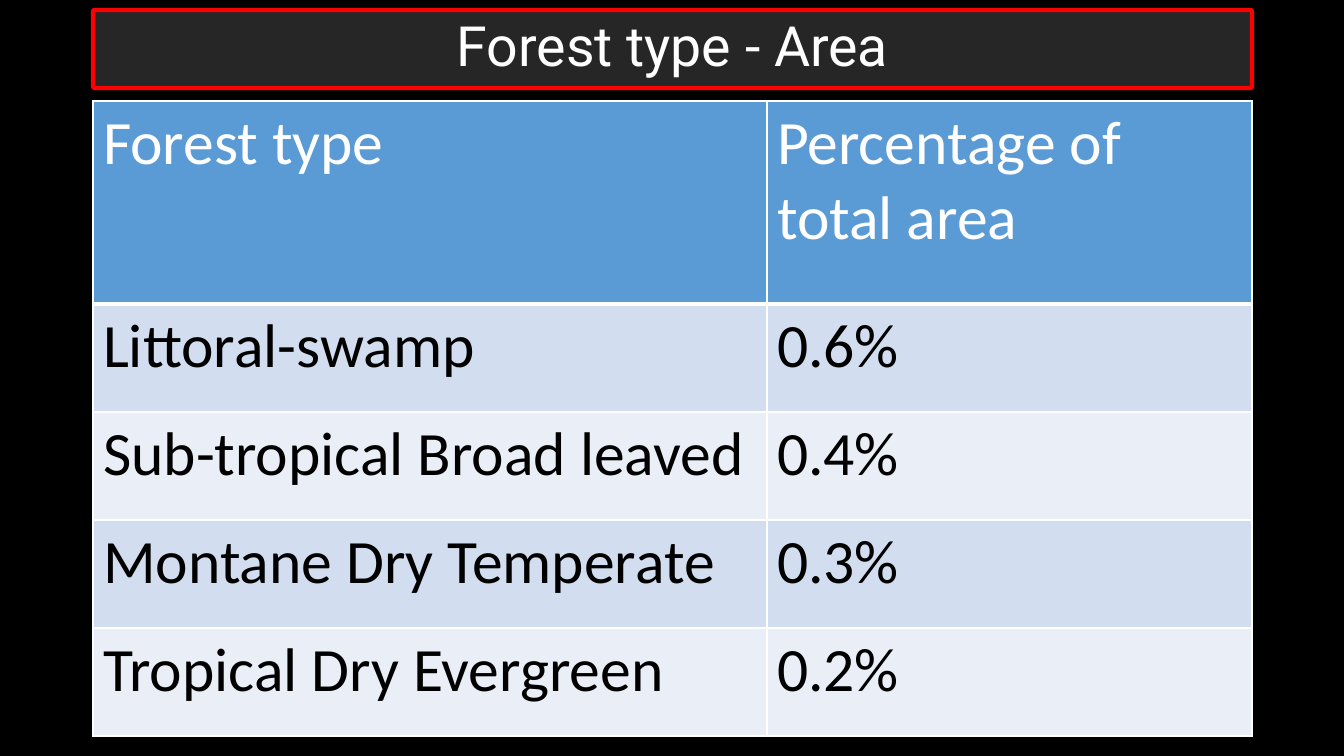
from lxml import etree
from pptx import Presentation
from pptx.dml.color import RGBColor
from pptx.enum.shapes import MSO_SHAPE
from pptx.enum.text import MSO_ANCHOR, PP_ALIGN
from pptx.oxml.ns import qn
from pptx.util import Emu, Pt

ROUND = MSO_SHAPE.ROUNDED_RECTANGLE
MIDDLE = MSO_ANCHOR.MIDDLE
CENTER = PP_ALIGN.CENTER
SCALE = 914400 / 100.8

LEFT = 93
COLS = [674, 485]
ROWS = [203] + [108] * 4
HEAD = "5B9BD5"
BANDS = ["D2DEEF", "EAEFF7"]
FORESTS = [
    ("Forest type", "Percentage of total area"),
    ("Littoral-swamp", "0.6%"),
    ("Sub-tropical Broad leaved", "0.4%"),
    ("Montane Dry Temperate", "0.3%"),
    ("Tropical Dry Evergreen", "0.2%"),
]


def px(count):
    return Emu(round(count * SCALE))


def color(code):
    return RGBColor.from_string(code)


def paint(item, code):
    item.fill.solid()
    item.fill.fore_color.rgb = color(code)


def write(frame, text, tint, style):
    """Fill the frame with one paragraph and return it."""
    para = frame.paragraphs[0]
    run = para.add_run()
    run.text = text
    for name, value in style.items():
        setattr(run.font, name, value)
    run.font.color.rgb = color(tint)
    return para


def border(cell, widths):
    """Draw white cell edges; widths maps an edge letter to points."""
    props = cell._tc.get_or_add_tcPr()
    for side, width in widths.items():
        line = etree.SubElement(props, qn(f"a:ln{side}"), w=str(Pt(width)))
        fill = etree.SubElement(line, qn("a:solidFill"))
        etree.SubElement(fill, qn("a:srgbClr"), val="FFFFFF")


def add_title(slide, text):
    box = slide.shapes.add_shape(ROUND, px(LEFT), px(10), px(sum(COLS)), px(78))
    box.adjustments[0] = 0.02
    box.shadow.inherit = False
    paint(box, "262626")
    box.line.color.rgb = color("FF0000")
    box.line.width = Pt(3)
    frame = box.text_frame
    frame.word_wrap = True
    frame.vertical_anchor = MIDDLE
    para = write(frame, text, "FFFFFF", {"name": "Roboto", "size": Pt(39.6)})
    para.alignment = CENTER
    para.line_spacing = 0.9


def add_grid(slide, data):
    table = slide.shapes.add_table(
        len(ROWS), len(COLS), px(LEFT), px(101), px(sum(COLS)), px(sum(ROWS))
    ).table
    for col, width in zip(table.columns, COLS):
        col.width = px(width)
    style = {"name": "Calibri", "size": Pt(44), "bold": False}
    for i, (row, height) in enumerate(zip(table.rows, ROWS)):
        row.height = px(height)
        top = i == 0
        for cell, text in zip(row.cells, data[i]):
            border(cell, {"L": 1, "R": 1, "T": 1, "B": 3 if top else 1})
            paint(cell, HEAD if top else BANDS[(i - 1) % 2])
            write(cell.text_frame, text, "FFFFFF" if top else "000000", style)


def main():
    deck = Presentation()
    deck.slide_width, deck.slide_height = px(1344), px(756)
    slide = deck.slides.add_slide(deck.slide_layouts[6])
    paint(slide.background, "000000")
    add_grid(slide, FORESTS)
    add_title(slide, "Forest type - Area")
    deck.save("out.pptx")


if __name__ == "__main__":
    main()
